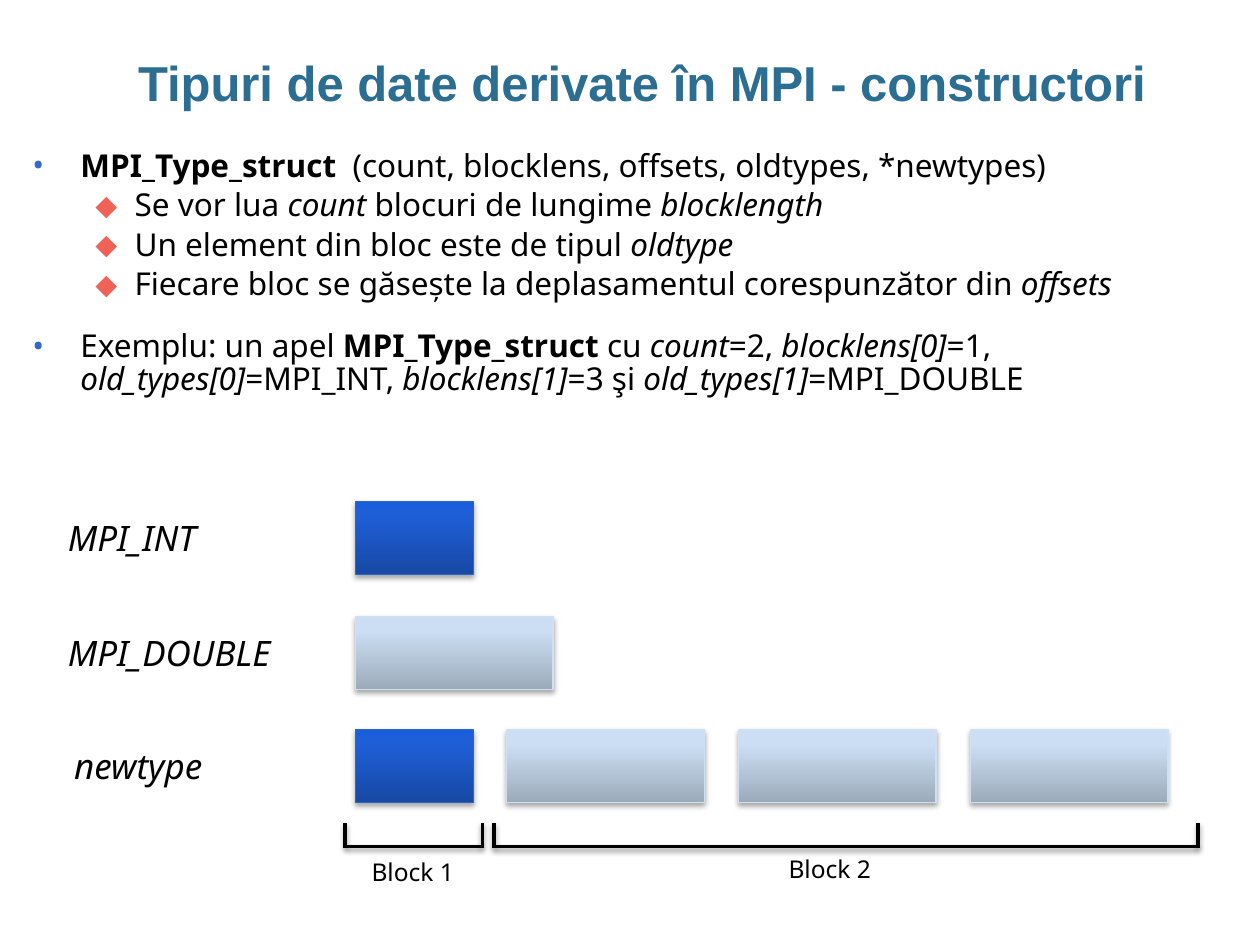
from copy import deepcopy
from lxml import etree
from pptx import Presentation
from pptx.dml.color import RGBColor
from pptx.enum.shapes import MSO_CONNECTOR as CONN, MSO_SHAPE as SHAPE
from pptx.enum.text import MSO_ANCHOR as ANCHOR, MSO_AUTO_SIZE as AUTO, PP_ALIGN as ALIGN
from pptx.oxml.ns import qn
from pptx.util import Inches, Pt

BLACK = RGBColor(0x00, 0x00, 0x00)
TITLE = RGBColor(0x2C, 0x6D, 0x92)
BULLET_BLUE = RGBColor(0x35, 0x68, 0xC7)
BULLET_RED = RGBColor(0xF0, 0x61, 0x57)
INT_LINE = RGBColor(0x30, 0x65, 0xC6)
INT_STOPS = [RGBColor(0x17, 0x49, 0xA5), RGBColor(0x1E, 0x5E, 0xD6), RGBColor(0x1B, 0x5E, 0xDB)]
DOUBLE_LINE = RGBColor(0xD0, 0xE0, 0xF1)
DOUBLE_STOPS = [RGBColor(0x9C, 0xAB, 0xBB), RGBColor(0xCB, 0xDE, 0xF3), RGBColor(0xCB, 0xDF, 0xF5)]


def add_run(p, text, **formats):
    r = p.add_run()
    r.text = text
    color = formats.pop("color", BLACK)
    for name, value in ({"name": "Noto Sans"} | formats).items():
        setattr(r.font, name, value)
    r.font.color.rgb = color


def add_shadow(s, alpha, dist):
    spPr = s._element.spPr
    for old in spPr.findall(qn("a:effectLst")):
        spPr.remove(old)
    effects = etree.SubElement(spPr, qn("a:effectLst"))
    shadow = etree.SubElement(effects, qn("a:outerShdw"), blurRad=str(Pt(3.1)),
                              dist=str(Pt(dist)), dir="5400000", rotWithShape="0")
    color = etree.SubElement(shadow, qn("a:srgbClr"), val=str(BLACK))
    etree.SubElement(color, qn("a:alpha"), val=str(alpha * 1000))


prs = Presentation()
prs.slide_width, prs.slide_height = Inches(10), Inches(7.5)
slide = prs.slides.add_slide(prs.slide_layouts[5])
shapes = slide.shapes

# Title
title = shapes.title
title.left, title.top, title.width, title.height = map(Inches, (0.44, 0.42, 9.31, 0.5))
tf = title.text_frame
for name, value in {"margin_left": 0, "margin_right": 0, "auto_size": AUTO.NONE,
                    "word_wrap": True, "vertical_anchor": ANCHOR.MIDDLE}.items():
    setattr(tf, name, value)
p = tf.paragraphs[0]
p.alignment, p.line_spacing = ALIGN.CENTER, 0.95
add_run(p, "Tipuri de date derivate în MPI - constructori",
        name="Arial", size=Pt(28), bold=True, color=TITLE)

# Bulleted text: level, points before, runs with b for bold and i for italic
MAIN = ("•", BULLET_BLUE, 0.38, 0.38)
SUB = ("⬥", BULLET_RED, 0.81, 0.31)
BULLETS = [
    (MAIN, 4, [("MPI_Type_struct  ", "b"), ("(count, blocklens, offsets, oldtypes, *newtypes)", "")]),
    (SUB, 4, [("Se vor lua ", ""), ("count", "i"), (" blocuri de lungime ", ""), ("blocklength", "i")]),
    (SUB, 4, [("Un element din bloc este de tipul ", ""), ("oldtype", "i")]),
    (SUB, 4, [("Fiecare bloc se găsește la deplasamentul corespunzător din ", ""), ("offsets", "i")]),
    (MAIN, 17, [("Exemplu: un apel ", ""), ("MPI_Type_struct", "b"), (" cu ", ""), ("count", "i"),
                ("=2, ", ""), ("blocklens[0]", "i"), ("=1, ", ""), ("old_types[0]", "i"),
                ("=MPI_INT, ", ""), ("blocklens[1]", "i"), ("=3 şi ", ""),
                ("old_types[1]", "i"), ("=MPI_DOUBLE", "")]),
]
tf = shapes.add_textbox(*map(Inches, (0.16, 1.15, 9.3, 2.49))).text_frame
tf.word_wrap = True
for i, ((char, color, margin, hang), before, runs) in enumerate(BULLETS):
    p = tf.add_paragraph() if i else tf.paragraphs[0]
    p.space_before, p.line_spacing = Pt(before), 0.86
    pPr = p._p.get_or_add_pPr()
    pPr.set("marL", str(Inches(margin)))
    pPr.set("indent", str(-Inches(hang)))
    buClr = etree.SubElement(pPr, qn("a:buClr"))
    etree.SubElement(buClr, qn("a:srgbClr"), val=str(color))
    etree.SubElement(pPr, qn("a:buFont"), typeface="Noto Sans")
    etree.SubElement(pPr, qn("a:buChar"), char=char)
    for text, style in runs:
        add_run(p, text, size=Pt(18), bold=style == "b", italic=style == "i")

# Memory blocks
INT = (0.94, INT_STOPS, INT_LINE)
DOUBLE = (1.57, DOUBLE_STOPS, DOUBLE_LINE)
BLOCKS = [(2.82, 3.98, INT), (2.82, 4.89, DOUBLE), (2.82, 5.79, INT)]
BLOCKS += [(4.02 + 1.84 * i, 5.79, DOUBLE) for i in range(3)]
for left, top, (width, colors, line) in BLOCKS:
    s = shapes.add_shape(SHAPE.RECTANGLE, *map(Inches, (left, top, width, 0.58)))
    s.fill.gradient()
    s.fill.gradient_angle = 90
    gsLst = s._element.spPr.find(qn("a:gradFill")).find(qn("a:gsLst"))
    gsLst.append(deepcopy(gsLst[-1]))
    for stop, position, color in zip(s.fill.gradient_stops, (0, 0.8, 1), colors):
        stop.position, stop.color.rgb = position, color
    s.line.color.rgb, s.line.width = line, Pt(0.75)
    add_shadow(s, 35, 1.8)

# Brackets under the two blocks of newtype
for left, right in [(2.74, 3.83), (3.92, 9.51)]:
    for ends in [(left, 6.53, left, 6.73), (left, 6.72, right, 6.72), (right, 6.53, right, 6.73)]:
        s = shapes.add_connector(CONN.STRAIGHT, *map(Inches, ends))
        s.line.color.rgb, s.line.width = BLACK, Pt(2)
        add_shadow(s, 38, 1.6)

# Labels
for text, left, top, width, height, size, italic in [
    ("MPI_INT", 0.44, 4.05, 1.34, 0.44, 20, True),
    ("MPI_DOUBLE", 0.44, 4.96, 2.27, 0.44, 20, True),
    ("newtype", 0.49, 5.86, 1.34, 0.44, 20, True),
    ("Block 1", 2.85, 6.75, 0.98, 0.34, 14, False),
    ("Block 2", 6.16, 6.73, 0.98, 0.34, 14, False),
]:
    tf = shapes.add_textbox(*map(Inches, (left, top, width, height))).text_frame
    tf.word_wrap, tf.auto_size = True, AUTO.SHAPE_TO_FIT_TEXT
    add_run(tf.paragraphs[0], text, size=Pt(size), italic=italic)

prs.save("out.pptx")
